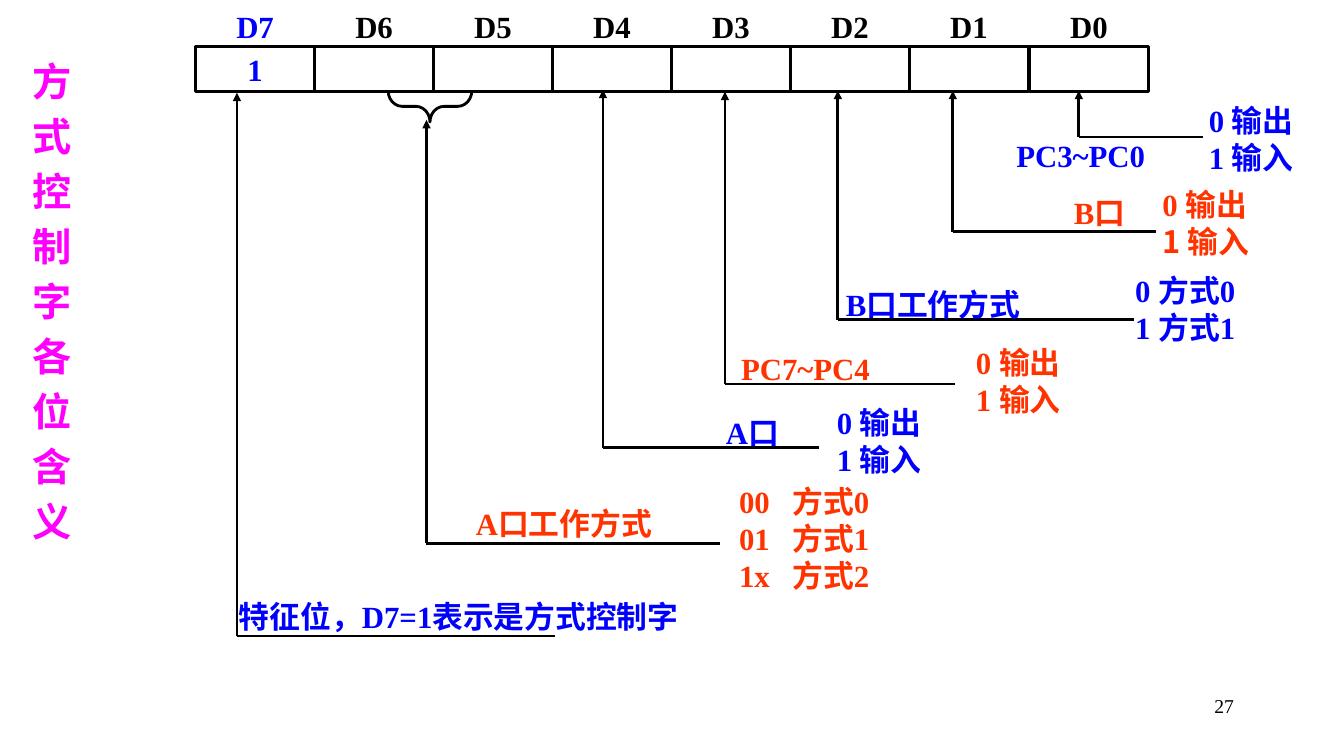
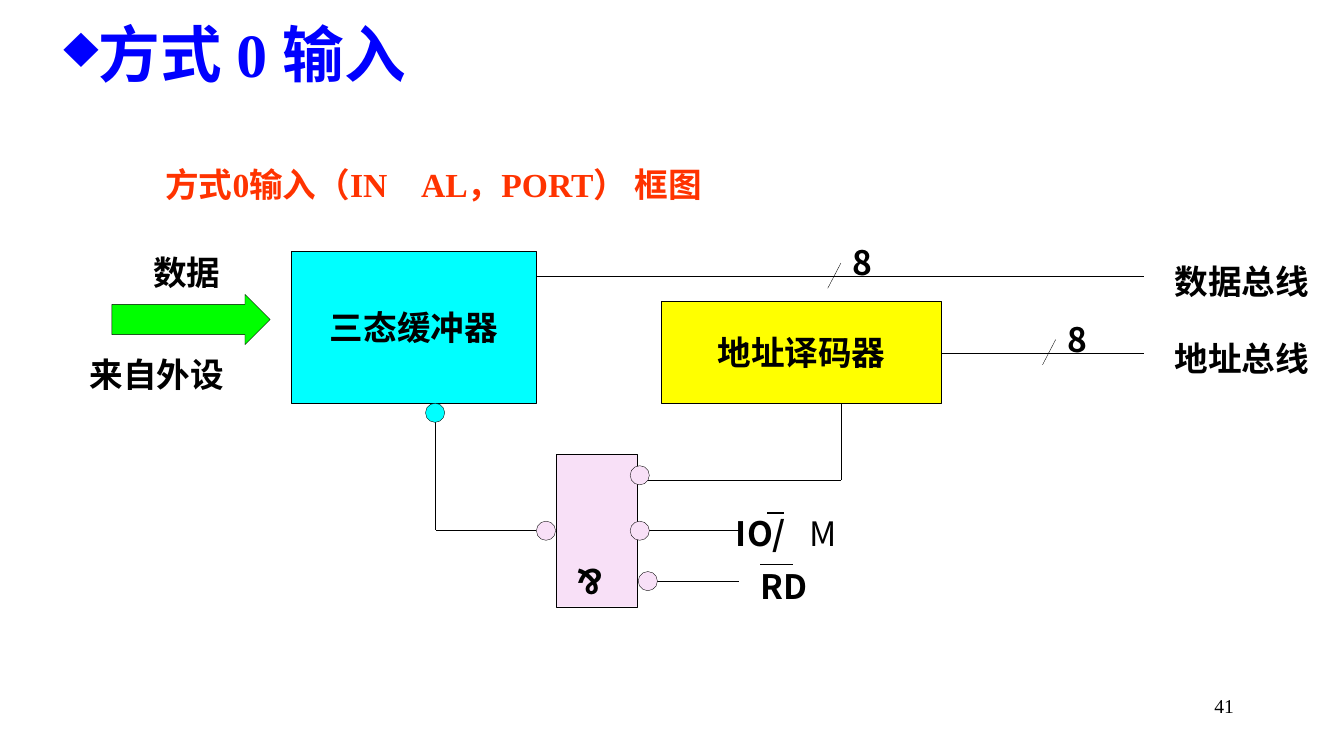
from dataclasses import dataclass

from lxml.etree import SubElement
from pptx import Presentation
from pptx.dml.color import RGBColor
from pptx.enum.shapes import MSO_CONNECTOR as Link, MSO_SHAPE as Form
from pptx.enum.text import MSO_ANCHOR as Anchor, MSO_AUTO_SIZE as Fit, PP_ALIGN as Align
from pptx.oxml.ns import qn
from pptx.util import Emu, Pt

# Shared look
PX = 9144  # 100 px to the inch
COLORS = {
    "black": "000000", "blue": "0000FF", "orange": "FF3300", "magenta": "FF00FF",
    "cyan": "00FFFF", "yellow": "FFFF00", "green": "00FF00", "pink": "F8E0F7",
}
SERIF = "Times New Roman"
SANS = "Noto Sans CJK SC"
HAIRLINE, BAR, THICK = 0.25, 0.88, 2


def px(*lengths):
    return [Emu(length * PX) for length in lengths]


def color(name):
    return RGBColor.from_string(COLORS[name])


# Text
def style(para, size, tint="black", face=SERIF, bold=True, align=Align.LEFT):
    para.alignment = align
    font = para.font
    font.name, font.size, font.bold = face, Pt(size), bold
    font.color.rgb = color(tint)
    defaults = para._p.pPr.find(qn("a:defRPr"))
    SubElement(defaults, qn("a:ea")).set("typeface", SANS)


def set_frame(frame, insets=(0, 0, 0, 0), anchor=Anchor.TOP, wrap=True):
    frame.auto_size = Fit.NONE
    frame.word_wrap = wrap
    frame.vertical_anchor = anchor
    (frame.margin_left, frame.margin_top,
     frame.margin_right, frame.margin_bottom) = px(*insets)


def add_tab(para, position):
    tabs = SubElement(para._p.get_or_add_pPr(), qn("a:tabLst"))
    tab = SubElement(tabs, qn("a:tab"))
    tab.set("pos", str(position * PX))
    tab.set("algn", "l")


def add_text(page, at, lines, size, tint="black", faces=(SERIF,), bold=True,
             align=Align.LEFT, wrap=True):
    box = page.shapes.add_textbox(*px(*at))
    frame = box.text_frame
    set_frame(frame, wrap=wrap)
    frame.text = "\n".join(lines)
    for index, para in enumerate(frame.paragraphs):
        if "\t" in lines[index]:
            add_tab(para, 53)
        style(para, size, tint, faces[index % len(faces)], bold, align)
    return box


def add_label(page, left, top, width, words, **options):
    return add_text(page, (left, top, width, 40), [words], 24, faces=(SANS,), **options)


def set_title(page, at, words, size, tint, bullet=None, gap=0):
    title = page.shapes.title
    title.left, title.top, title.width, title.height = px(*at)
    set_frame(title.text_frame, (10, 5, 10, 5))
    title.text_frame.text = words
    for para in title.text_frame.paragraphs:
        if bullet:
            SubElement(para._p.get_or_add_pPr(), qn("a:buChar")).set("char", bullet)
        para.space_after = Pt(gap)
        style(para, size, tint)


def add_page(deck, number):
    page = deck.slides.add_slide(deck.slide_layouts[5])
    add_text(page, (966, 688, 258, 40), [number], 14, bold=False, align=Align.RIGHT)
    return page


# Shapes and lines
def add_form(page, form, at, fill=None, weight=HAIRLINE):
    shape = page.shapes.add_shape(form, *px(*at))
    shape.shadow.inherit = False
    if fill:
        shape.fill.solid()
        shape.fill.fore_color.rgb = color(fill)
    else:
        shape.fill.background()
    shape.line.color.rgb = color("black")
    shape.line.width = Pt(weight)
    return shape


def add_block(page, at, fill, weight, words, **options):
    block = add_form(page, Form.RECTANGLE, at, fill, weight)
    if words:
        set_frame(block.text_frame, anchor=Anchor.MIDDLE)
        block.text_frame.text = words
        style(block.text_frame.paragraphs[0], align=Align.CENTER, **options)


def add_line(page, start, end, weight=HAIRLINE, arrow=False):
    line = page.shapes.add_connector(Link.STRAIGHT, *px(*start, *end))
    line.line.color.rgb = color("black")
    line.line.width = Pt(weight)
    if arrow:
        SubElement(line.line._get_or_add_ln(), qn("a:tailEnd")).set("type", "triangle")
    SubElement(line._element.spPr, qn("a:effectLst"))


# Slide: bits of the control word
@dataclass
class Field:
    tint: str
    tip: tuple
    corner: int
    end: int
    name: str
    name_at: tuple
    values: tuple = ()
    values_at: tuple = ()
    faces: tuple = (SERIF,)


IN_OUT = ("0 输出", "1 输入")
FIELDS = [
    Field("blue", (1070, 90), 136, 1193, "PC3~PC0", (1008, 136), IN_OUT, (1199, 101)),
    Field("orange", (945, 90), 230, 1147, "B口", (1065, 192), IN_OUT, (1153, 184),
          (SERIF, SANS)),
    Field("blue", (831, 90), 317, 1125, "B口工作方式", (839, 283),
          ("0 方式0", "1 方式1"), (1126, 270)),
    Field("orange", (719, 91), 381, 947, "PC7~PC4", (735, 347), IN_OUT, (968, 341)),
    Field("blue", (598, 89), 444, 812, "A口", (720, 410), IN_OUT, (830, 401)),
    Field("orange", (423, 119), 539, 714, "A口工作方式", (472, 501),
          ("00\t方式0", "01\t方式1", "1x\t方式2"), (733, 479)),
    Field("blue", (235, 92), 631, 550, "特征位，D7=1表示是方式控制字", (237, 593)),
]


def add_field(page, field):
    left, top = field.tip
    corner = (left, field.corner)
    add_line(page, corner, (left, top), THICK, arrow=True)
    add_line(page, corner, (field.end, field.corner), THICK)
    width = 35 * len(field.name)
    add_text(page, (*field.name_at, width, 33), [field.name], 22, field.tint)
    if field.values:
        add_text(page, (*field.values_at, 160, 34 * len(field.values)), field.values,
                 22, field.tint, field.faces)


def build_control_word(deck):
    page = add_page(deck, "27")
    set_title(page, (22, 52, 111, 515), "\n".join("方式控制字各位含义"), 28, "magenta",
              gap=5.6)

    # Register cells, highest bit first
    for index in range(8):
        left = 194 + 827 * index // 7
        tint = "black" if index else "blue"
        add_text(page, (left, 8, 118, 40), [f"D{7 - index}"], 22, tint,
                 align=Align.CENTER)
        add_block(page, (left, 46, 118, 45), None, THICK, "" if index else "1",
                  size=22, tint="blue")

    brace = add_form(page, Form.LEFT_BRACE, (411, 64, 31, 83), weight=THICK)
    brace.adjustments[0] = 0.45
    brace.rotation = 270

    for field in FIELDS:
        add_field(page, field)


# Slide: block diagram of mode 0 input
def build_mode_input(deck):
    page = add_page(deck, "41")
    set_title(page, (53, 11, 897, 90), "方式 0 输入", 44, "blue", bullet="♦")
    add_text(page, (164, 163, 700, 40), ["方式0输入（IN　AL，PORT） 框图"], 24, "orange")

    # Blocks and the arrow from the device
    add_block(page, (289, 249, 243, 151), "cyan", HAIRLINE, "三态缓冲器",
              size=24, face=SANS)
    add_block(page, (656, 299, 278, 101), "yellow", HAIRLINE, "地址译码器",
              size=24, face=SANS)
    add_block(page, (552, 451, 80, 151), "pink", HAIRLINE, "")
    add_label(page, 573, 558, 24, "&", align=Align.CENTER, wrap=False).rotation = 180
    arrow = add_form(page, Form.RIGHT_ARROW, (111, 292, 157, 50), "green")
    arrow.adjustments[0] = 0.6
    arrow.adjustments[1] = 0.5

    # Wires
    for start, end in [
        ((651, 577), (733, 577)), ((633, 526), (733, 526)), ((633, 476), (834, 476)),
        ((834, 400), (834, 476)), ((532, 526), (432, 526)), ((432, 526), (432, 400)),
    ]:
        add_line(page, start, end)

    # Buses with their width marks
    for left, top, slash, words in [(532, 274, 821, "数据总线"), (934, 350, 1034, "地址总线")]:
        add_line(page, (left, top), (1135, top))
        add_line(page, (slash + 13, top - 13), (slash, top + 12))
        add_label(page, slash + 25, top - 34, 30, "8")
        add_label(page, 1165, top - 15, 150, words)

    # Inverting dots
    for left, top, fill in [(422, 400, "cyan"), (532, 517, "pink"), (625, 462, "pink"),
                            (625, 517, "pink"), (633, 567, "pink")]:
        add_form(page, Form.OVAL, (left, top, 19, 19), fill)

    # Signal names and their overbars
    add_label(page, 152, 250, 126, "数据")
    add_label(page, 89, 351, 199, "来自外设")
    add_label(page, 730, 509, 74, "IO/")
    add_label(page, 803, 509, 44, "M", bold=False)
    add_label(page, 754, 561, 70, "RD")
    add_line(page, (761, 509), (778, 509), BAR)
    add_line(page, (754, 560), (787, 560), BAR)


def main():
    deck = Presentation()
    deck.slide_width, deck.slide_height = px(1333, 750)
    build_control_word(deck)
    build_mode_input(deck)
    deck.save("out.pptx")


if __name__ == "__main__":
    main()
